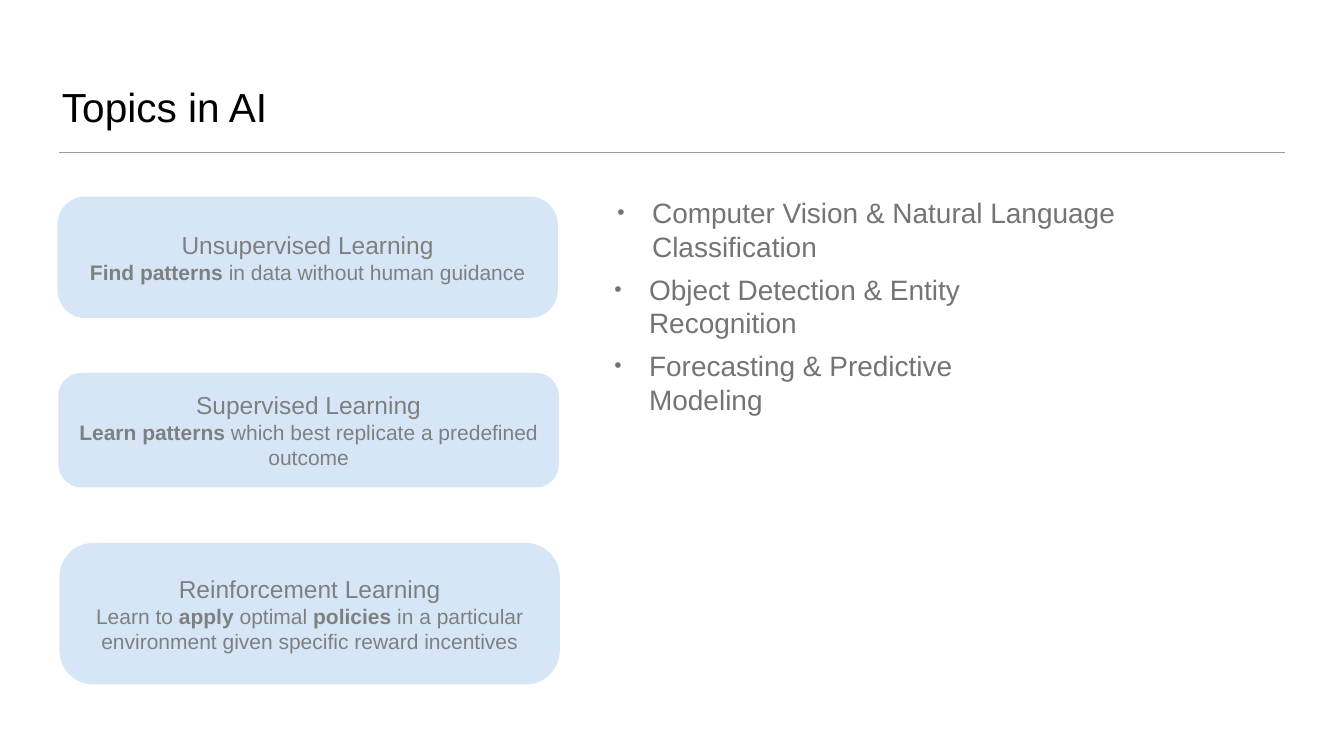
from pptx import Presentation
from pptx.dml.color import RGBColor
from pptx.enum.shapes import MSO_CONNECTOR, MSO_SHAPE
from pptx.enum.text import MSO_ANCHOR, MSO_AUTO_SIZE, PP_ALIGN
from pptx.oxml.ns import qn
from pptx.util import Inches, Pt
from lxml.etree import SubElement

BLACK = RGBColor(0x00, 0x00, 0x00)
RULE_GREY = RGBColor(0x9A, 0x9A, 0x9A)
TOPIC_GREY = RGBColor(0x74, 0x74, 0x74)
CARD_GREY = RGBColor(0x7E, 0x80, 0x80)
CARD_BLUE = RGBColor(0x8B, 0xB7, 0xE9)

LEARNING_TYPES = [
    (1.14, 3.9, 2.41, 0.23, "Unsupervised Learning",
     [("Find patterns", True), (" in data without human guidance", False)]),
    (1.16, 7.4, 2.27, 0.2, "Supervised Learning",
     [("Learn patterns", True), (" which best replicate a predefined outcome", False)]),
    (1.18, 10.77, 2.81, 0.24, "Reinforcement Learning",
     [("Learn to ", False), ("apply", True), (" optimal ", False), ("policies", True),
      (" in a particular environment given specific reward incentives", False)]),
]
TOPICS = [
    (12.19, 12.96, "Computer Vision & Natural Language Classification"),
    (12.13, 9.79, "Object Detection & Entity Recognition"),
    (12.13, 8.91, "Forecasting & Predictive Modeling"),
]
TOPIC_TOP, TOPIC_STEP = 4.16, 1.52


def style_font(run, size, color, bold=False):
    """Format one run in Arial."""
    run.font.name = "Arial"
    run.font.size = Pt(size)
    run.font.bold = bold
    run.font.color.rgb = color


def prepare_frame(frame, anchor):
    """Set the shared margins, wrapping and vertical anchor."""
    frame.margin_left = frame.margin_right = Inches(0.06)
    frame.margin_top = frame.margin_bottom = Inches(0.06)
    frame.word_wrap = True
    frame.vertical_anchor = anchor


def add_title(slide, text):
    """Place the slide title and the rule beneath it."""
    title = slide.shapes.title
    title.left, title.top = Inches(1.17), Inches(0.51)
    title.width, title.height = Inches(24.32), Inches(2.15)
    frame = title.text_frame
    frame.text = text
    prepare_frame(frame, MSO_ANCHOR.BOTTOM)
    frame.auto_size = MSO_AUTO_SIZE.NONE
    heading = frame.paragraphs[0]
    heading.alignment = PP_ALIGN.LEFT
    style_font(heading.runs[0], 58, BLACK)

    rule = slide.shapes.add_connector(
        MSO_CONNECTOR.STRAIGHT, Inches(1.17), Inches(3.03), Inches(25.5), Inches(3.03))
    rule.line.color.rgb = RULE_GREY
    rule.line.width = Pt(1)
    SubElement(rule._element.spPr, qn("a:effectLst"))


def add_topic(slide, left, top, width, text):
    """Add one bulleted topic."""
    topic = slide.shapes.add_textbox(Inches(left), Inches(top), Inches(width), Inches(0.78))
    frame = topic.text_frame
    frame.text = text
    prepare_frame(frame, MSO_ANCHOR.MIDDLE)
    frame.auto_size = MSO_AUTO_SIZE.SHAPE_TO_FIT_TEXT
    paragraph = frame.paragraphs[0]
    properties = paragraph._p.get_or_add_pPr()
    properties.set("marL", str(Inches(0.69)))
    properties.set("indent", str(-Inches(0.69)))
    SubElement(properties, qn("a:buSzPct"), val="75000")
    SubElement(properties, qn("a:buFont"), typeface="Arial")
    SubElement(properties, qn("a:buChar"), char="•")
    style_font(paragraph.runs[0], 40, TOPIC_GREY)


def add_learning_card(slide, left, top, height, rounding, name, description):
    """Add a rounded card with a learning type and its description."""
    card = slide.shapes.add_shape(
        MSO_SHAPE.ROUNDED_RECTANGLE, Inches(left), Inches(top), Inches(9.93), Inches(height))
    card.adjustments[0] = rounding
    card.shadow.inherit = False
    card.fill.solid()
    card.fill.fore_color.rgb = CARD_BLUE
    tint = card._element.spPr.find(qn("a:solidFill")).find(qn("a:srgbClr"))
    SubElement(tint, qn("a:alpha"), val="34000")
    card.line.fill.background()

    frame = card.text_frame
    frame.text = name
    prepare_frame(frame, MSO_ANCHOR.MIDDLE)
    style_font(frame.paragraphs[0].runs[0], 35, CARD_GREY)
    detail = frame.add_paragraph()
    for text, bold in description:
        run = detail.add_run()
        run.text = text
        style_font(run, 30, CARD_GREY, bold)
    for paragraph in frame.paragraphs:
        paragraph.alignment = PP_ALIGN.CENTER


def main():
    """Build the slide and save it."""
    presentation = Presentation()
    presentation.slide_width = Inches(26.67)
    presentation.slide_height = Inches(15)
    slide = presentation.slides.add_slide(presentation.slide_layouts[5])
    add_title(slide, "Topics in AI")
    for index, (left, width, text) in enumerate(TOPICS):
        add_topic(slide, left, TOPIC_TOP + index * TOPIC_STEP, width, text)
    for learning_type in LEARNING_TYPES:
        add_learning_card(slide, *learning_type)
    presentation.save("out.pptx")


if __name__ == "__main__":
    main()
